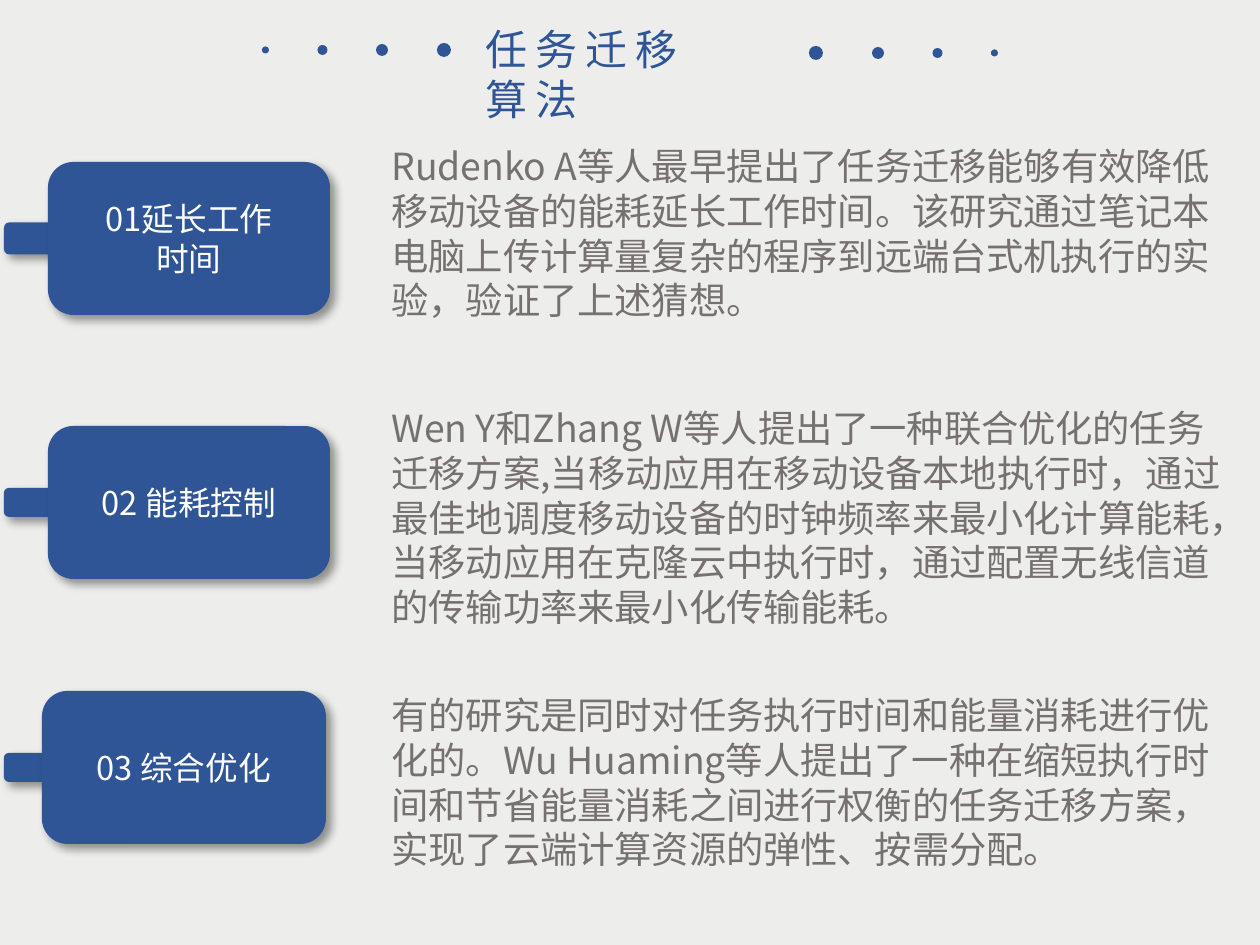
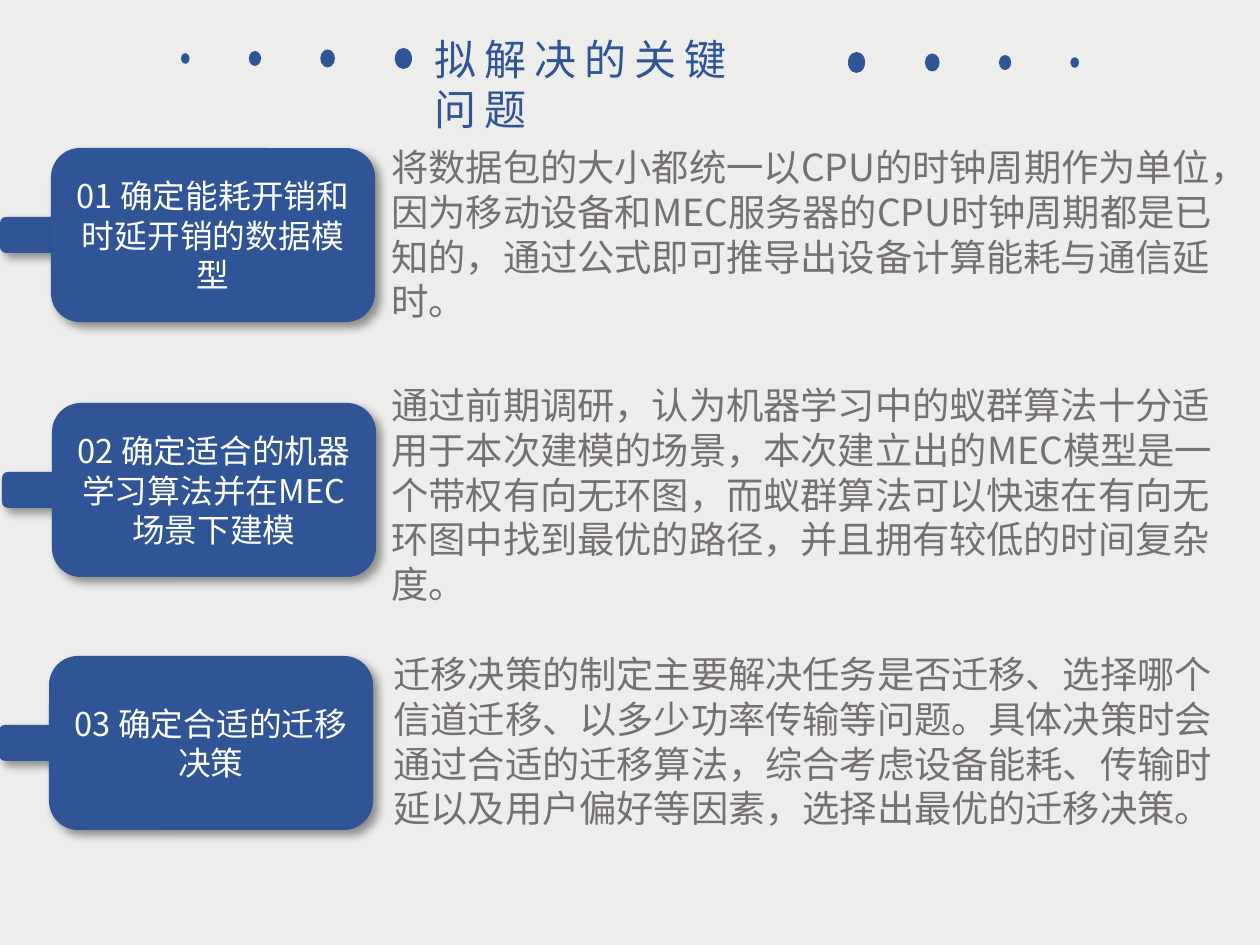
from dataclasses import dataclass

from lxml import etree
from pptx import Presentation
from pptx import util as u
from pptx.dml.color import RGBColor
from pptx.enum import lang, shapes, text
from pptx.oxml import ns

EMU_PER_PX = 914400 / 168
SLIDE_SIZE = (1260, 945)


@dataclass(frozen=True)
class Theme:
    background: str = "EDEDEB"
    accent: str = "2F5597"
    body: str = "767171"
    on_accent: str = "FFFFFF"
    title_font: str = "Noto Sans CJK JP"
    text_font: str = "Noto Sans CJK SC"
    title_size: int = 18
    body_size: int = 16
    card_size: int = 14
    line_height: float = 1.2
    title_tracking: int = 340  # hundredths of a point


THEME = Theme()

# A row of growing dots on a 189 x 14 grid: (centre, diameter)
DOT_GRID = (189, 14)
DOTS = [(3.5, 7), (60.5, 10), (120, 12), (182, 14)]


def px(length):
    return u.Emu(round(length * EMU_PER_PX))


def box_emu(box):
    return [px(length) for length in box]


def set_text(shape, paragraphs, size, color, font_name=THEME.text_font,
             align=text.PP_ALIGN.LEFT, anchor=text.MSO_ANCHOR.TOP, tracking=None):
    frame = shape.text_frame
    frame.word_wrap = True
    frame.auto_size = text.MSO_AUTO_SIZE.NONE
    frame.vertical_anchor = anchor
    frame.margin_left = frame.margin_right = u.Inches(0.1)
    frame.margin_top = frame.margin_bottom = u.Inches(0.05)
    frame.text = "\n".join(paragraphs)
    for paragraph in frame.paragraphs:
        paragraph.alignment = align
        paragraph.line_spacing = u.Pt(size * THEME.line_height)
        paragraph.space_before = u.Pt(0)
        for run in paragraph.runs:
            font = run.font
            font.size = u.Pt(size)
            font.name = font_name
            font.language_id = lang.MSO_LANGUAGE_ID.SIMPLIFIED_CHINESE
            font.color.rgb = RGBColor.from_string(color)
            properties = run._r.get_or_add_rPr()
            east_asian = etree.SubElement(properties, ns.qn("a:ea"))
            east_asian.set("typeface", font_name)
            if tracking:
                properties.set("spc", str(tracking))


def add_accent_shape(group, kind, box):
    shape = group.shapes.add_shape(kind, *box_emu(box))
    shape.shadow.inherit = False
    shape.fill.solid()
    shape.fill.fore_color.rgb = RGBColor.from_string(THEME.accent)
    shape.line.fill.background()
    return shape


def add_drop_shadow(shape):
    effects = shape._element.spPr.find(ns.qn("a:effectLst"))
    shadow = etree.SubElement(
        effects, ns.qn("a:outerShdw"), blurRad=str(u.Pt(4)), dist=str(u.Pt(3)),
        dir=str(45 * 60000), algn="tl", rotWithShape="0")
    color = etree.SubElement(shadow, ns.qn("a:srgbClr"), val="000000")
    etree.SubElement(color, ns.qn("a:alpha"), val="40000")


def add_dots(group, box, mirrored=False):
    left, top, width, height = box
    scale_x, scale_y = width / DOT_GRID[0], height / DOT_GRID[1]
    for centre, diameter in DOTS:
        offset = DOT_GRID[0] - centre if mirrored else centre
        dot_width, dot_height = diameter * scale_x, diameter * scale_y
        add_accent_shape(group, shapes.MSO_SHAPE.OVAL, (
            left + offset * scale_x - dot_width / 2,
            top + (height - dot_height) / 2, dot_width, dot_height))


def add_header(slide, title, title_box, left_dots, right_dots):
    group = slide.shapes.add_group_shape()
    add_dots(group, left_dots)
    add_dots(group, right_dots, mirrored=True)
    placeholder = slide.shapes.title
    placeholder.left, placeholder.top, placeholder.width, placeholder.height = box_emu(title_box)
    set_text(placeholder, [title], THEME.title_size, THEME.accent,
             THEME.title_font, tracking=THEME.title_tracking)


def add_card(slide, label, box, tab):
    """A rounded card with a tab, centred on its height, reaching out to the left."""
    tab_left, tab_width, tab_height = tab
    left, top, width, height = box
    tab_box = (tab_left, top + (height - tab_height) / 2, tab_width, tab_height)
    group = slide.shapes.add_group_shape()
    rounded = shapes.MSO_SHAPE.ROUNDED_RECTANGLE
    for part_box in (tab_box, box):
        card = add_accent_shape(group, rounded, part_box)
        add_drop_shadow(card)
    set_text(card, label, THEME.card_size, THEME.on_accent,
             align=text.PP_ALIGN.CENTER, anchor=text.MSO_ANCHOR.MIDDLE)


def add_topic_slide(presentation, header, topics):
    slide = presentation.slides.add_slide(presentation.slide_layouts[5])
    add_header(slide, **header)
    for topic in topics:
        add_card(slide, topic["label"], topic["card"], topic["tab"])
        body = slide.shapes.add_textbox(*box_emu(topic["body_box"]))
        set_text(body, [topic["body"]], THEME.body_size, THEME.body)


# Task migration algorithms
MIGRATION_HEADER = dict(
    title="任务迁移算法", title_box=(469, 15, 272, 56),
    left_dots=(262, 43, 189, 14), right_dots=(809, 46, 189, 14))
MIGRATION_TOPICS = [
    dict(label=["01延长工作", "时间"], card=(48, 162, 282, 153), tab=(4, 131, 32),
         body_box=(375, 135, 862, 198),
         body="Rudenko A等人最早提出了任务迁移能够有效降低移动设备的能耗延长工作时间。"
              "该研究通过笔记本电脑上传计算量复杂的程序到远端台式机执行的实验，验证了上述猜想。"),
    dict(label=["02 能耗控制"], card=(48, 426, 282, 153), tab=(4, 173, 29),
         body_box=(375, 397, 863, 244),
         body="Wen Y和Zhang W等人提出了一种联合优化的任务迁移方案,当移动应用在移动设备本地执行时，"
              "通过最佳地调度移动设备的时钟频率来最小化计算能耗，当移动应用在克隆云中执行时，"
              "通过配置无线信道的传输功率来最小化传输能耗。"),
    dict(label=["03 综合优化"], card=(42, 691, 284, 153), tab=(4, 173, 29),
         body_box=(375, 684, 863, 198),
         body="有的研究是同时对任务执行时间和能量消耗进行优化的。"
              "Wu Huaming等人提出了一种在缩短执行时间和节省能量消耗之间进行权衡的任务迁移方案，"
              "实现了云端计算资源的弹性、按需分配。"),
]

# Key problems to solve
PROBLEM_HEADER = dict(
    title="拟解决的关键问题", title_box=(418, 25, 353, 56),
    left_dots=(181, 48, 231, 21), right_dots=(848, 52, 231, 21))
PROBLEM_TOPICS = [
    dict(label=["01 确定能耗开销和时延开销的数据模型"], card=(51, 148, 324, 174),
         tab=(0, 151, 36), body_box=(375, 136, 862, 198),
         body="将数据包的大小都统一以CPU的时钟周期作为单位，因为移动设备和MEC服务器的CPU时钟周期"
              "都是已知的，通过公式即可推导出设备计算能耗与通信延时。"),
    dict(label=["02 确定适合的机器学习算法并在MEC场景下建模"], card=(52, 403, 324, 174),
         tab=(2, 151, 36), body_box=(375, 374, 862, 244),
         body="通过前期调研，认为机器学习中的蚁群算法十分适用于本次建模的场景，"
              "本次建立出的MEC模型是一个带权有向无环图，"
              "而蚁群算法可以快速在有向无环图中找到最优的路径，并且拥有较低的时间复杂度。"),
    dict(label=["03 确定合适的迁移决策"], card=(49, 656, 324, 174),
         tab=(-1, 151, 36), body_box=(377, 643, 859, 198),
         body="迁移决策的制定主要解决任务是否迁移、选择哪个信道迁移、以多少功率传输等问题。"
              "具体决策时会通过合适的迁移算法，综合考虑设备能耗、传输时延以及用户偏好等因素，"
              "选择出最优的迁移决策。"),
]


def main():
    presentation = Presentation()
    presentation.slide_width, presentation.slide_height = box_emu(SLIDE_SIZE)
    background = presentation.slide_master.background.fill
    background.solid()
    background.fore_color.rgb = RGBColor.from_string(THEME.background)
    add_topic_slide(presentation, MIGRATION_HEADER, MIGRATION_TOPICS)
    add_topic_slide(presentation, PROBLEM_HEADER, PROBLEM_TOPICS)
    presentation.save("out.pptx")


if __name__ == "__main__":
    main()
